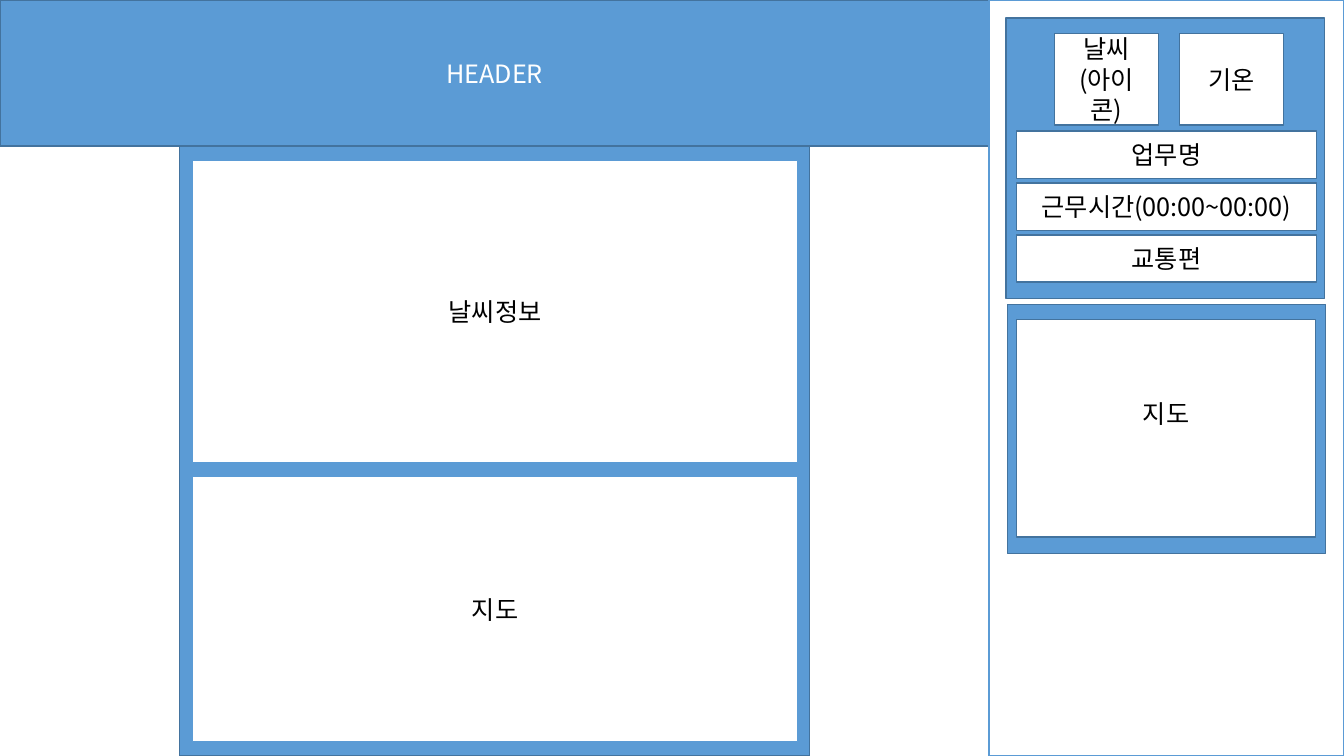
from lxml.etree import SubElement
from pptx import Presentation
from pptx.dml.color import RGBColor
from pptx.enum.shapes import MSO_SHAPE
from pptx.enum.text import MSO_ANCHOR, PP_ALIGN
from pptx.oxml.ns import qn
from pptx.util import Inches, Pt

FONT = "Noto Sans CJK KR"
COLORS = {"blue": "5B9BD5", "edge": "43739E", "white": "FFFFFF", "black": "000000"}

HEADER = ["HEADER"]
MAIN_SECTIONS = [(["날씨정보"], 1.59, 3), (["지도"], 4.73, 2.63)]
WEATHER_TILES = [["날씨", "(아이콘)"], ["기온"]]
JOB_ROWS = [["업무명"], ["근무시간(00:00~00:00)"], ["교통편"]]
SIDE_MAP = ["지도"]

SLIDE_W, SLIDE_H = 13.33, 7.5
MAIN_W, HEADER_H = 9.81, 1.45
TILE_X, TILE_W, TILE_STEP = 10.46, 1.03, 1.24
ROW_X, ROW_Y, ROW_W, ROW_H, ROW_STEP = 10.08, 1.3, 2.98, 0.47, 0.515


def rgb(name):
    return RGBColor.from_string(COLORS[name])


def add_box(slide, x, y, w, h, lines=(), fill="white", line="edge",
            color="black", bottom=0.05):
    """Draw a rectangle with centred lines; a larger bottom inset lifts them."""
    sp = slide.shapes.add_shape(
        MSO_SHAPE.RECTANGLE, Inches(x), Inches(y), Inches(w), Inches(h))
    sp.shadow.inherit = False
    sp.fill.solid()
    sp.fill.fore_color.rgb = rgb(fill)
    sp.line.color.rgb = rgb(line)
    sp.line.width = Pt(1)
    tf = sp.text_frame
    tf.word_wrap = True
    tf.vertical_anchor = MSO_ANCHOR.MIDDLE
    tf.margin_bottom = Inches(bottom)
    for i, text in enumerate(lines):
        p = tf.paragraphs[0] if i == 0 else tf.add_paragraph()
        p.alignment = PP_ALIGN.CENTER
        r = p.add_run()
        r.text = text
        r.font.size = Pt(18)
        r.font.color.rgb = rgb(color)
        r.font.name = FONT
        SubElement(r.font._element, qn("a:ea"), typeface=FONT)


def add_main(slide):
    add_box(slide, 0, 0, MAIN_W, HEADER_H, HEADER, fill="blue", color="white")
    add_box(slide, 1.78, HEADER_H, 6.25, SLIDE_H - HEADER_H, fill="blue")
    for lines, y, h in MAIN_SECTIONS:
        add_box(slide, 1.91, y, 6, h, lines, line="blue")


def add_sidebar(slide):
    add_box(slide, MAIN_W, 0, SLIDE_W - MAIN_W, SLIDE_H, line="blue")
    add_box(slide, 9.98, 0.18, 3.16, 2.78, fill="blue")
    for i, lines in enumerate(WEATHER_TILES):
        add_box(slide, TILE_X + i * TILE_STEP, 0.33, TILE_W, 0.91, lines)
    for i, lines in enumerate(JOB_ROWS):
        add_box(slide, ROW_X, ROW_Y + i * ROW_STEP, ROW_W, ROW_H, lines)
    add_box(slide, 9.99, 3.02, 3.16, 2.47, fill="blue")
    add_box(slide, ROW_X, 3.17, 2.97, 2.16, SIDE_MAP, bottom=0.35)


def main():
    prs = Presentation()
    prs.slide_width, prs.slide_height = Inches(SLIDE_W), Inches(SLIDE_H)
    slide = prs.slides.add_slide(prs.slide_layouts[6])
    add_main(slide)
    add_sidebar(slide)
    prs.save("out.pptx")


if __name__ == "__main__":
    main()
